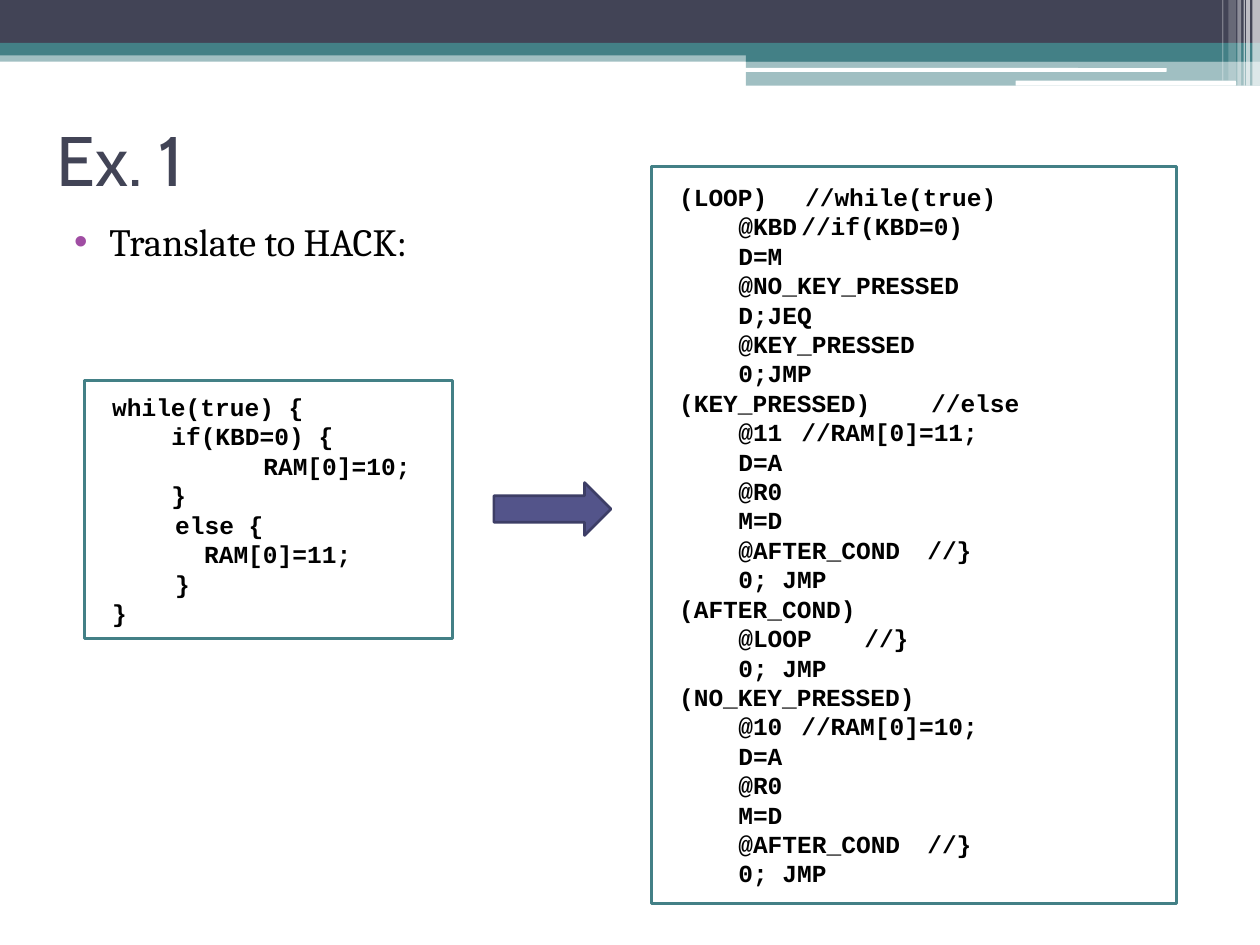
from lxml import etree
from pptx import Presentation
from pptx.dml.color import RGBColor
from pptx.enum.shapes import MSO_SHAPE
from pptx.enum.text import MSO_ANCHOR, MSO_AUTO_SIZE, PP_ALIGN
from pptx.oxml.ns import qn
from pptx.util import Inches, Pt

RECTANGLE, ROUNDED = MSO_SHAPE.RECTANGLE, MSO_SHAPE.ROUNDED_RECTANGLE
ARROW = MSO_SHAPE.RIGHT_ARROW
MIDDLE, TOP = MSO_ANCHOR.MIDDLE, MSO_ANCHOR.TOP
LEFT = PP_ALIGN.LEFT
NO_FIT = MSO_AUTO_SIZE.NONE

THEME = {
    "navy": "424456", "teal": "438086", "white": "FFFFFF", "bullet": "A04DA3",
    "arrow": "53548A", "arrow line": "3D3E66", "line width": 1.5, "code spacing": 16.8,
    "title": {"name": "Cabin", "size": 40, "bold": False, "color": "424456"},
    "body": {"name": "Cambria", "size": 22, "bold": False, "color": "000000"},
    "code": {"name": "Courier New", "size": 14, "bold": True, "color": "000000"},
}

TITLE = "Ex. 1"
TASK = "Translate to HACK:"
INDENT = 0.47
COMMENT_STOP = 2.23

# (indent, text)
SOURCE_CODE = [
    (0, "while(true) {"),
    (INDENT, "if(KBD=0) {"),
    (1.2, "RAM[0]=10;"),
    (INDENT, "}"),
    (0.5, "else {"),
    (0.73, "RAM[0]=11;"),
    (0.5, "}"),
    (0, "}"),
]

# Labels start at the margin, instructions are indented; a tab leads to the comment
ASSEMBLY = [
    "(LOOP)\t//while(true)", "@KBD\t//if(KBD=0)", "D=M", "@NO_KEY_PRESSED",
    "D;JEQ", "@KEY_PRESSED", "0;JMP",
    "(KEY_PRESSED)\t//else", "@11\t//RAM[0]=11;", "D=A", "@R0", "M=D",
    "@AFTER_COND\t//}", "0; JMP",
    "(AFTER_COND)", "@LOOP\t//}", "0; JMP",
    "(NO_KEY_PRESSED)", "@10\t//RAM[0]=10;", "D=A", "@R0", "M=D",
    "@AFTER_COND\t//}", "0; JMP",
]

# (shape, (left, top, width, height), colour, opacity in percent)
BANNER = [
    (RECTANGLE, (0, 0.4, 10, 0.09), "teal", 50),
    (RECTANGLE, (0, 0, 10, 0.34), "navy", 100),
    (RECTANGLE, (0, 0.34, 10, 0.1), "teal", 100),
    (RECTANGLE, (5.92, 0.39, 4.08, 0.1), "teal", 100),
    (RECTANGLE, (5.92, 0.48, 4.08, 0.2), "teal", 50),
    (ROUNDED, (5.91, 0.54, 3.35, 0.03), "white", 100),
    (ROUNDED, (8.06, 0.64, 1.75, 0.04), "white", 100),
]
# (left, width, height, opacity in percent)
STRIPES = [
    (9.94, 0.06, 0.68, 65), (9.89, 0.03, 0.68, 65), (9.87, 0.01, 0.68, 60),
    (9.82, 0.03, 0.68, 40), (9.75, 0.06, 0.64, 20), (9.7, 0.01, 0.64, 30),
]


def add_filled(slide, kind, box, color, opacity=100, line=None):
    shape = slide.shapes.add_shape(kind, *map(Inches, box))
    shape.shadow.inherit = False
    shape.fill.solid()
    shape.fill.fore_color.rgb = RGBColor.from_string(THEME[color])
    if opacity < 100:
        color_node = shape.fill._xPr.find(".//" + qn("a:srgbClr"))
        etree.SubElement(color_node, qn("a:alpha"), val=str(opacity * 1000))
    if line:
        shape.line.color.rgb = RGBColor.from_string(THEME[line])
        shape.line.width = Pt(THEME["line width"])
    else:
        shape.line.fill.background()
    return shape


def write(paragraph, text, style):
    paragraph.alignment = LEFT
    run = paragraph.add_run()
    run.text = text
    values = dict(THEME[style])
    run.font.color.rgb = RGBColor.from_string(values.pop("color"))
    values["size"] = Pt(values["size"])
    for name, value in values.items():
        setattr(run.font, name, value)


def format_frame(frame, **values):
    for name, value in {"word_wrap": True, "auto_size": NO_FIT, **values}.items():
        setattr(frame, name, value)


def add_code_box(slide, box, lines):
    shape = add_filled(slide, RECTANGLE, box, "white", line="teal")
    frame = shape.text_frame
    format_frame(frame, vertical_anchor=MIDDLE, margin_left=Inches(0.22), margin_right=0,
                 margin_top=Inches(0.05), margin_bottom=Inches(0.05))
    for index, (indent, text) in enumerate(lines):
        paragraph = frame.add_paragraph() if index else frame.paragraphs[0]
        write(paragraph, text, "code")
        paragraph.line_spacing = Pt(THEME["code spacing"])
        properties = paragraph._p.get_or_add_pPr()
        properties.set("marL", str(Inches(indent)))
        properties.set("indent", "0")
        if "\t" in text:
            stops = etree.SubElement(properties, qn("a:tabLst"))
            etree.SubElement(stops, qn("a:tab"), pos=str(Inches(COMMENT_STOP)), algn="l")


def add_title(slide):
    title = slide.shapes.title
    title.left, title.top, title.width, title.height = map(Inches, (0.35, 0.67, 9, 1.17))
    format_frame(title.text_frame, vertical_anchor=MIDDLE)
    write(title.text_frame.paragraphs[0], TITLE, "title")


def add_task(slide):
    frame = slide.shapes.add_textbox(*map(Inches, (0.37, 1.68, 9, 4.73))).text_frame
    format_frame(frame, vertical_anchor=TOP)
    paragraph = frame.paragraphs[0]
    write(paragraph, TASK, "body")
    paragraph.space_before = Pt(3)
    properties = paragraph._p.get_or_add_pPr()
    properties.set("marL", str(Inches(0.4)))
    properties.set("indent", str(Inches(-0.28)))
    color = etree.SubElement(properties, qn("a:buClr"))
    etree.SubElement(color, qn("a:srgbClr"), val=THEME["bullet"])
    etree.SubElement(properties, qn("a:buFont"), typeface="Arial")
    etree.SubElement(properties, qn("a:buChar"), char="•")


def main():
    presentation = Presentation()
    presentation.slide_width, presentation.slide_height = Inches(10), Inches(7.5)
    slide = presentation.slides.add_slide(presentation.slide_layouts[5])
    for kind, box, color, opacity in BANNER:
        add_filled(slide, kind, box, color, opacity)
    for left, width, height, opacity in STRIPES:
        add_filled(slide, RECTANGLE, (left, 0, width, height), "white", opacity)
    add_title(slide)
    add_task(slide)
    add_filled(slide, ARROW, (3.92, 3.83, 0.93, 0.42), "arrow", line="arrow line")
    assembly = [(0 if text.startswith("(") else INDENT, text) for text in ASSEMBLY]
    add_code_box(slide, (5.17, 1.32, 4.17, 5.85), assembly)
    add_code_box(slide, (0.67, 3.02, 2.92, 2.05), SOURCE_CODE)
    presentation.save("out.pptx")


if __name__ == "__main__":
    main()
